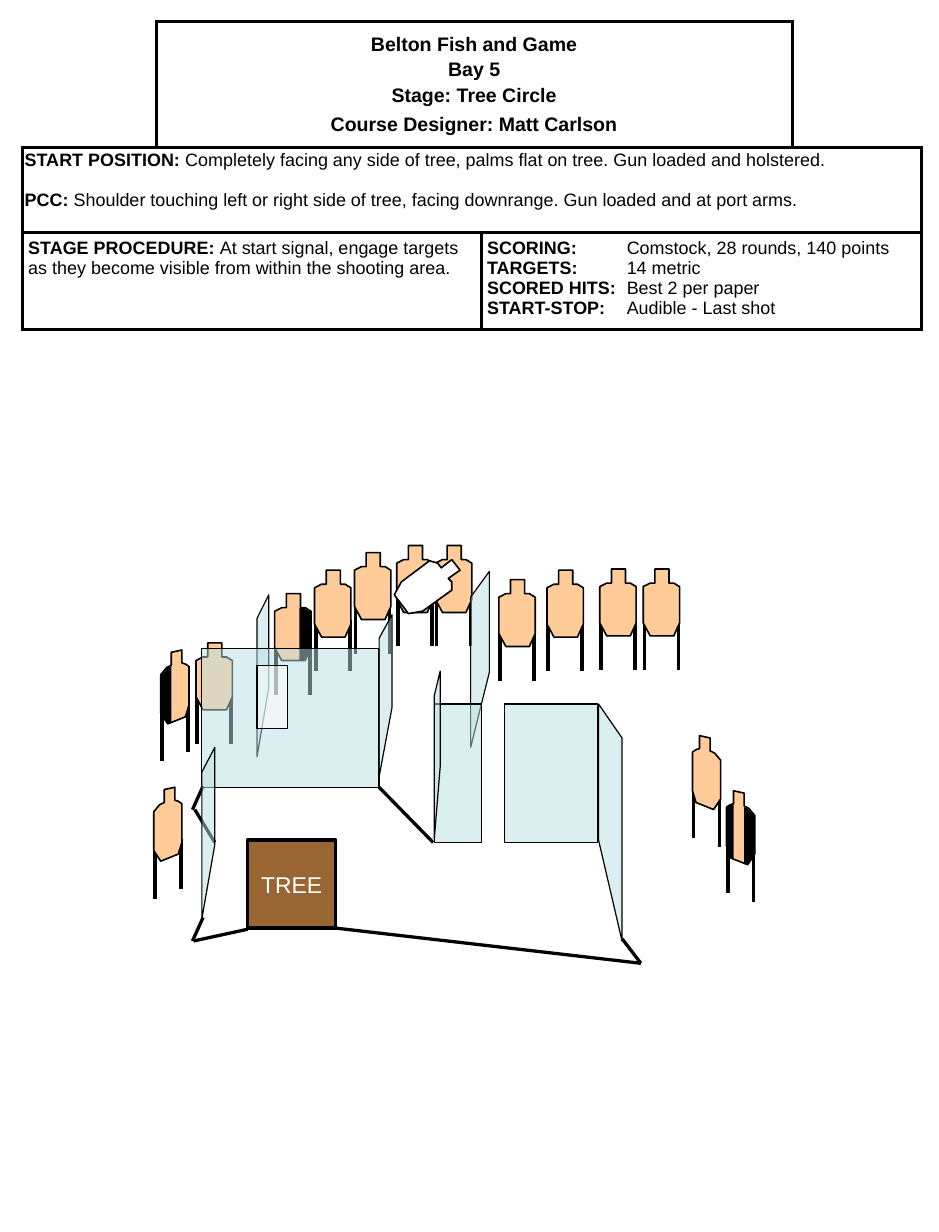
from lxml import etree
from pptx import Presentation, util as u
from pptx.dml.color import RGBColor
from pptx.enum import shapes as sh, text as tx
from pptx.oxml.ns import qn

CELL = u.Inches(0.01)  # the slide is a grid of 800 columns by 1050 rows
COLS, ROWS = 800, 1050
FONT = "Arial"
INK = {"black": "000000", "white": "FFFFFF", "tan": "FFCC99",
       "wall": "BBE0E3", "wood": "996633"}

# Target outlines and posts, in grid steps from the top left of a target
FRONT = {
    "wide": 31,
    "posts": [(1, 42, 86), (30, 42, 86)],
    "body": [(10, 0), (22, 0), (22, 12), (26, 12), (31, 15), (31, 46),
             (26, 57), (6, 57), (0, 46), (0, 15), (6, 12), (10, 12)],
    "half": [(21, 12), (21, 57), (25, 57), (31, 46), (31, 16), (25, 12)],
}
TURNED = {
    "wide": 24,
    "posts": [(1, 51, 95), (23, 44, 87)],
    "body": [(9, 2), (18, 0), (18, 11), (21, 12), (24, 14), (24, 47),
             (21, 57), (6, 63), (0, 54), (0, 21), (5, 15), (9, 13)],
    "near": [(0, 54), (6, 63), (9, 62), (9, 14), (6, 15), (0, 22)],
    "far": [(18, 11), (21, 12), (24, 15), (24, 47), (21, 57), (18, 59)],
}
NO_SHOOT = [(385, 477), (392, 486), (382, 493), (385, 496), (385, 503),
            (360, 521), (348, 523), (336, 507), (342, 496), (366, 478),
            (373, 480), (376, 484)]
TITLE = ["Belton Fish and Game", "Bay 5", "Stage: Tree Circle",
         "Course Designer: Matt Carlson"]
START = [("START POSITION:", " Completely facing any side of tree, palms flat "
          "on tree. Gun loaded and holstered."),
         ("PCC: ", "Shoulder touching left or right side of tree, facing "
          "downrange. Gun loaded and at port arms.")]
PLAN = [("STAGE PROCEDURE: ", "At start signal, engage targets as they become "
         "visible from within the shooting area.")]
SCORE = [("SCORING:", "\tComstock, 28 rounds, 140 points"),
         ("TARGETS:", "\t14 metric"),
         ("SCORED HITS:", "\tBest 2 per paper"),
         ("START-STOP:", "\tAudible - Last shot")]


def put(item, **vals):
    for key, val in vals.items():
        setattr(item, key, val)


def rgb(name):
    return RGBColor.from_string(INK[name])


def paint(shape, fill, width, alpha=None):
    """Fill and outline a shape; width 0 means no outline."""
    shape.shadow.inherit = False
    shape.fill.solid()
    shape.fill.fore_color.rgb = rgb(fill)
    if alpha:
        clr = shape.fill._xPr.find(".//" + qn("a:srgbClr"))
        etree.SubElement(clr, qn("a:alpha"), val=str(alpha * 1000))
    if width:
        shape.line.color.rgb = rgb("black")
        shape.line.width = u.Pt(width)
    else:
        shape.line.fill.background()


def line(slide, start, end, width=2):
    ends = [n * CELL for n in (*start, *end)]
    rod = slide.shapes.add_connector(sh.MSO_CONNECTOR.STRAIGHT, *ends)
    rod.line.color.rgb = rgb("black")
    rod.line.width = u.Pt(width)
    etree.SubElement(rod._element.spPr, qn("a:effectLst"))


def shape(slide, points, fill, width, alpha=None):
    spots = [(x * CELL, y * CELL) for x, y in points]
    pen = slide.shapes.build_freeform(*spots[0])
    pen.add_line_segments(spots[1:], close=True)
    paint(pen.convert_to_shape(), fill, width, alpha)


def box(slide, left, top, wide, high, fill="wall", width=0.75, alpha=50):
    area = [n * CELL for n in (left, top, wide, high)]
    rect = slide.shapes.add_shape(sh.MSO_SHAPE.RECTANGLE, *area)
    paint(rect, fill, width, alpha)
    return rect


def wall(slide, left, top, low, right, rise, base):
    """Draw a wall seen at an angle, from its left edge to its right one."""
    shape(slide, [(left, top), (right, rise), (right, base), (left, low)],
          "wall", 0.75, 50)


def target(slide, kind, left, top, black=(), flip=False):
    """Draw a target on two posts, with any parts named in black covered."""
    def place(x, y):
        return left + (kind["wide"] - x if flip else x), top + y

    for x, high, low in kind["posts"]:
        line(slide, place(x, high), place(x, low), 2.25)
    shape(slide, [place(*p) for p in kind["body"]], "tan", 1)
    for part in black:
        shape(slide, [place(*p) for p in kind[part]], "black", 0)


def write(cell, paras, size, gaps=(), tab=None, pad=5, rise=5, **form):
    """Fill a cell with paragraphs of a bold and a plain part."""
    put(cell, margin_left=pad * CELL, margin_right=pad * CELL,
        margin_top=rise * CELL, margin_bottom=rise * CELL)
    frame = cell.text_frame
    for i, parts in enumerate(paras):
        para = frame.paragraphs[0] if i == 0 else frame.add_paragraph()
        put(para, **form)
        if i and gaps:
            para.space_before = u.Pt(gaps[i - 1])
        if tab:
            tabs = etree.SubElement(para._p.get_or_add_pPr(), qn("a:tabLst"))
            etree.SubElement(tabs, qn("a:tab"), pos=str(tab * CELL), algn="l")
        for words, bold in zip(parts, (True, False)):
            run = para.add_run()
            run.text = words
            put(run.font, name=FONT, size=u.Pt(size), bold=bold)
            run.font.color.rgb = rgb("black")


def edge(cell, bare):
    """Rule all sides of a cell but the bare ones."""
    props = cell._tc.get_or_add_tcPr()
    for i, side in enumerate("LRTB"):
        rule = etree.Element(qn("a:ln" + side), w=str(u.Pt(2.25)))
        if side in bare:
            etree.SubElement(rule, qn("a:noFill"))
        else:
            fill = etree.SubElement(rule, qn("a:solidFill"))
            etree.SubElement(fill, qn("a:srgbClr"), val=INK["black"])
        props.insert(i, rule)


def brief(slide):
    wide, high = (114, 277, 265, 110), (108, 72, 83)
    area = [n * CELL for n in (19, 18, sum(wide), sum(high))]
    grid = slide.shapes.add_table(len(high), len(wide), *area).table
    put(grid, first_row=False, horz_banding=False)
    for col, n in zip(grid.columns, wide):
        col.width = n * CELL
    for row, n in zip(grid.rows, high):
        row.height = n * CELL
    bare = {(0, 0): "LT", (0, 3): "RT"}
    for r in range(len(high)):
        for c in range(len(wide)):
            cell = grid.cell(r, c)
            cell.fill.solid()
            cell.fill.fore_color.rgb = rgb("white")
            edge(cell, bare.get((r, c), ""))
    for r, c, last in ((0, 1, 2), (1, 0, 3), (2, 0, 1), (2, 2, 3)):
        grid.cell(r, c).merge(grid.cell(r, last))
    head = grid.cell(0, 1)
    head.vertical_anchor = tx.MSO_ANCHOR.MIDDLE
    write(head, [(words,) for words in TITLE], 12, gaps=(2.4, 2.4, 4.2),
          alignment=tx.PP_ALIGN.CENTER)
    write(grid.cell(1, 0), START, 11, gaps=(13.5,), pad=2, rise=4,
          line_spacing=0.9)
    write(grid.cell(2, 0), PLAN, 11)
    write(grid.cell(2, 2), SCORE, 11, tab=119)


def tree(slide):
    trunk = box(slide, 211, 716, 75, 75, "wood", 2.25, None)
    frame = trunk.text_frame
    put(frame, vertical_anchor=tx.MSO_ANCHOR.MIDDLE, word_wrap=False)
    para = frame.paragraphs[0]
    para.text, para.alignment = "TREE", tx.PP_ALIGN.CENTER
    put(para.font, name=FONT, size=u.Pt(14))
    para.font.color.rgb = rgb("white")


def bay(slide):
    """Draw the targets, walls and fault lines from back to front."""
    target(slide, FRONT, 234, 506, ["half"])
    target(slide, FRONT, 371, 465)
    wall(slide, 401, 509, 637, 417, 487, 573)
    for left, top in ((268, 486), (302, 471), (167, 548)):
        target(slide, FRONT, left, top)
    wall(slide, 219, 527, 645, 229, 507, 586)
    tree(slide)
    box(slide, 172, 553, 151, 118)
    box(slide, 219, 567, 26, 54, "white")
    target(slide, TURNED, 131, 671)
    for start, end in (((164, 802), (173, 782)), ((211, 792), (165, 802)),
                       ((164, 690), (173, 670)), ((166, 690), (183, 718))):
        line(slide, start, end)
    wall(slide, 172, 658, 783, 183, 637, 720)
    wall(slide, 323, 544, 662, 334, 524, 603)
    box(slide, 370, 600, 40, 118)
    line(slide, (323, 671), (369, 718))
    wall(slide, 370, 593, 715, 375, 572, 654)
    for left, top in ((338, 465), (425, 494), (466, 486)):
        target(slide, FRONT, left, top)
    box(slide, 430, 600, 79, 118)
    wall(slide, 510, 600, 716, 530, 629, 802)
    line(slide, (546, 821), (286, 791))
    line(slide, (530, 800), (546, 821))
    for left in (511, 548):
        target(slide, FRONT, left, 485)
    target(slide, TURNED, 590, 627, flip=True)
    target(slide, TURNED, 137, 554, ["near"])
    shape(slide, NO_SHOOT, "white", 1)
    target(slide, TURNED, 619, 674, ["near", "far"], flip=True)


def main():
    deck = Presentation()
    put(deck, slide_width=COLS * CELL, slide_height=ROWS * CELL)
    slide = deck.slides.add_slide(deck.slide_layouts[6])
    brief(slide)
    bay(slide)
    deck.save("out.pptx")


if __name__ == "__main__":
    main()
